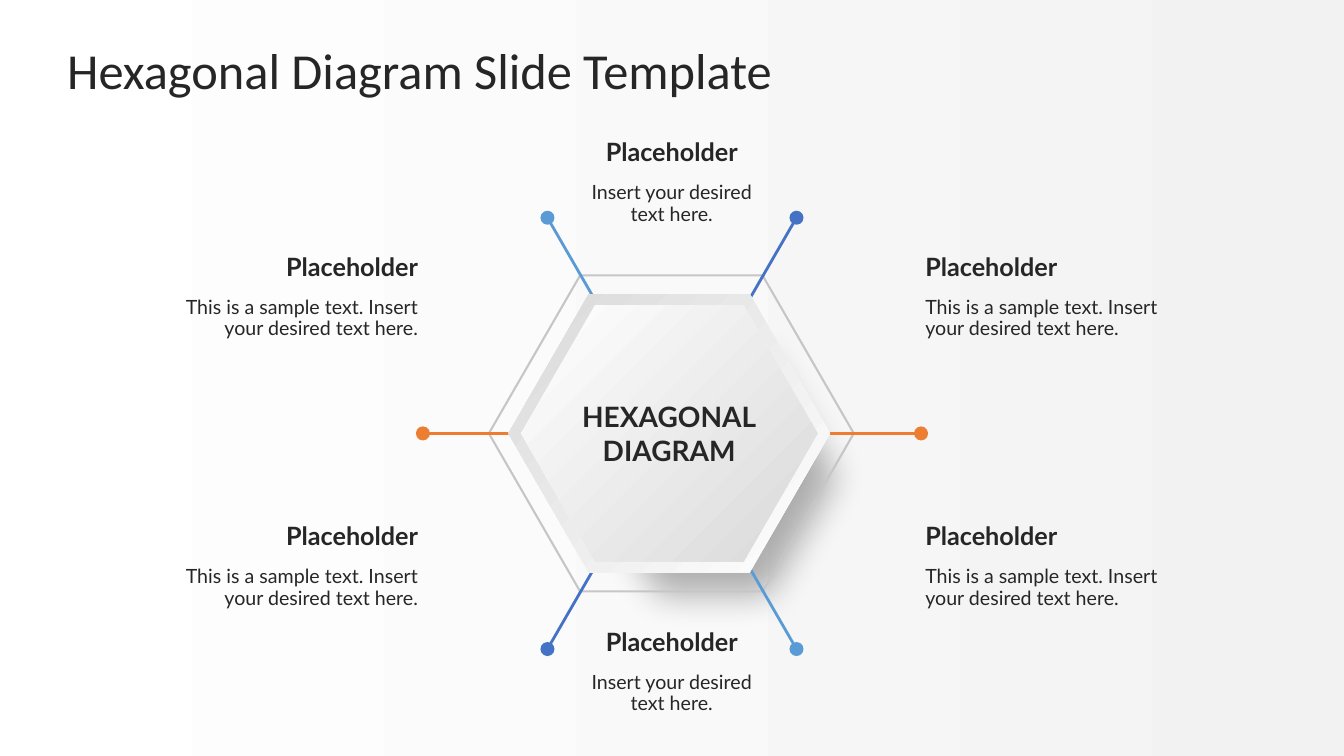
import math
from dataclasses import dataclass
from typing import Any, Optional

import lxml.etree
import pptx
import pptx.dml.color
import pptx.enum.shapes
import pptx.enum.text
import pptx.oxml.ns
import pptx.util

ALIGN = pptx.enum.text.PP_ALIGN
ANCHOR = pptx.enum.text.MSO_ANCHOR
qn = pptx.oxml.ns.qn

COLORS = {
    "ink": "262626", "white": "FFFFFF", "mist": "F2F2F2", "silver": "D9D9D9",
    "ring": "C6C6C6", "black": "000000",
    "orange": "ED7D31", "sky": "5B9BD5", "blue": "4472C4",
}

# The slide is a grid of 100 columns and 100 rows.
WIDTH, HEIGHT = pptx.util.Inches(13.333), pptx.util.Inches(7.5)
COL, ROW = WIDTH / 100, HEIGHT / 100
MID_X, MID_Y = 50, 57.33
CORE_X = 49.8
SPOKE = 18.53 * COL
HEAD = {"size": pptx.util.Pt(18), "name": "Lato", "bold": True}
BODY = {"size": pptx.util.Pt(14), "name": "Lato", "bold": False}
CORE = {"size": pptx.util.Pt(20), "name": "Lato", "bold": True}
TITLE = {"size": pptx.util.Pt(36), "name": "Calibri", "bold": False}


@dataclass
class Hexagon:
    x: float
    y: float
    width: float
    angle: Optional[int] = None


@dataclass
class Spoke:
    color: str
    angle: int


@dataclass
class Side:
    left: float
    width: float
    align: Any
    text: str
    tops: tuple[float, float]


SHADE = Hexagon(53.03, 63.13, 26.4)
RING = Hexagon(49.95, MID_Y, 27.15)
PLATES = [Hexagon(CORE_X, MID_Y, 23.93, 135), Hexagon(CORE_X, MID_Y, 22.05, 315)]
SPOKES = [Spoke("orange", 180), Spoke("sky", 240), Spoke("blue", 300)]
LONG = "This is a sample text. Insert your desired text here."
SHORT = "Insert your desired text here."
SIDES = [
    Side(68.85, 20.25, ALIGN.LEFT, LONG, (33.87, 69.47)),
    Side(10.87, 20.25, ALIGN.RIGHT, LONG, (33.87, 69.47)),
    Side(43.65, 12.68, ALIGN.CENTER, SHORT, (18.67, 83.47)),
]


def tint(name: str) -> pptx.dml.color.RGBColor:
    return pptx.dml.color.RGBColor.from_string(COLORS[name])


def cells(left: float, top: float, width: float, height: float) -> list[int]:
    """Turn columns and rows into lengths."""
    return [round(left * COL), round(top * ROW), round(width * COL), round(height * ROW)]


def blend(fill: Any, end: str, angle: int) -> None:
    """Fill with a gradient that starts in white."""
    fill.gradient()
    fill.gradient_angle = angle
    for stop, name, spot in zip(fill.gradient_stops, ("white", end), (0, 1)):
        stop.color.rgb = tint(name)
        stop.position = spot


def write(frame: Any, lines: list[str], font: dict, align: Any, anchor: Any,
          space: float = 1.0) -> None:
    form = {"word_wrap": True, "vertical_anchor": anchor,
            "auto_size": pptx.enum.text.MSO_AUTO_SIZE.NONE,
            "margin_left": 0, "margin_right": 0, "margin_top": 0, "margin_bottom": 0}
    for key, value in form.items():
        setattr(frame, key, value)
    frame.text = "\n".join(lines)
    for para in frame.paragraphs:
        para.alignment, para.line_spacing = align, space
        run = para.runs[0]
        for key, value in font.items():
            setattr(run.font, key, value)
        run.font.color.rgb = tint("ink")


def draw_hex(shapes: Any, item: Hexagon) -> Any:
    width = item.width * COL
    height = width * math.sin(math.pi / 3)
    box = [item.x * COL - width / 2, item.y * ROW - height / 2, width, height]
    shape = shapes.add_shape(pptx.enum.shapes.MSO_SHAPE.HEXAGON, *map(round, box))
    shape.adjustments[0] = width / 4 / height
    shape.shadow.inherit = False
    shape.line.fill.background()
    if item.angle is not None:
        blend(shape.fill, "silver", item.angle)
    return shape


def draw_shade(shapes: Any) -> None:
    """Draw the soft shadow beneath the plates."""
    shape = draw_hex(shapes, SHADE)
    shape.fill.solid()
    shape.fill.fore_color.rgb = tint("black")
    props = shape.element.spPr
    color = props.find(qn("a:solidFill"))[0]
    lxml.etree.SubElement(color, qn("a:alpha"), val="30000")
    effects = props.find(qn("a:effectLst"))
    lxml.etree.SubElement(effects, qn("a:softEdge"), rad=str(pptx.util.Pt(25)))


def draw_ring(shapes: Any) -> None:
    shape = draw_hex(shapes, RING)
    shape.fill.background()
    shape.line.color.rgb = tint("ring")
    shape.line.width = pptx.util.Pt(1.5)


def draw_spoke(shapes: Any, item: Spoke) -> None:
    """Draw a line through the centre with a dot at each end."""
    turn = math.radians(item.angle)
    dx, dy = SPOKE * math.cos(turn), SPOKE * math.sin(turn)
    x, y = MID_X * COL, MID_Y * ROW
    line = shapes.add_connector(pptx.enum.shapes.MSO_CONNECTOR.STRAIGHT,
                                *map(round, (x + dx, y + dy, x - dx, y - dy)))
    line.line.color.rgb = tint(item.color)
    line.line.width = pptx.util.Pt(2)
    props = line.element.spPr
    for end in ("a:headEnd", "a:tailEnd"):
        lxml.etree.SubElement(props.find(qn("a:ln")), qn(end), type="oval", w="lg", len="lg")
    lxml.etree.SubElement(props, qn("a:effectLst"))


def draw_note(shapes: Any, side: Side, top: float) -> None:
    group = shapes.add_group_shape().shapes
    body = group.add_textbox(*cells(side.left, top + 5.53, side.width, 6.13))
    write(body.text_frame, [side.text], BODY, side.align, ANCHOR.TOP, 0.9)
    head = group.add_textbox(*cells(side.left, top, side.width, 3.2))
    write(head.text_frame, ["Placeholder"], HEAD, side.align, ANCHOR.MIDDLE, 0.9)


def main() -> None:
    deck = pptx.Presentation()
    deck.slide_width, deck.slide_height = WIDTH, HEIGHT
    slide = deck.slides.add_slide(deck.slide_layouts[5])
    blend(slide.background.fill, "mist", 0)
    shapes = slide.shapes

    title = shapes.title
    title.left, title.top, title.width, title.height = cells(5, 4, 90, 10.4)
    write(title.text_frame, ["Hexagonal Diagram Slide Template"], TITLE,
          ALIGN.LEFT, ANCHOR.MIDDLE)

    draw_shade(shapes)
    draw_ring(shapes)
    for spoke in SPOKES:
        draw_spoke(shapes, spoke)
    for plate in PLATES:
        draw_hex(shapes, plate)
    core = shapes.add_textbox(*cells(CORE_X - 8.63, MID_Y - 7.13, 17.25, 14.26))
    write(core.text_frame, ["HEXAGONAL", "DIAGRAM"], CORE, ALIGN.CENTER, ANCHOR.MIDDLE)
    for side in SIDES:
        for top in side.tops:
            draw_note(shapes, side, top)
    deck.save("out.pptx")


if __name__ == "__main__":
    main()
